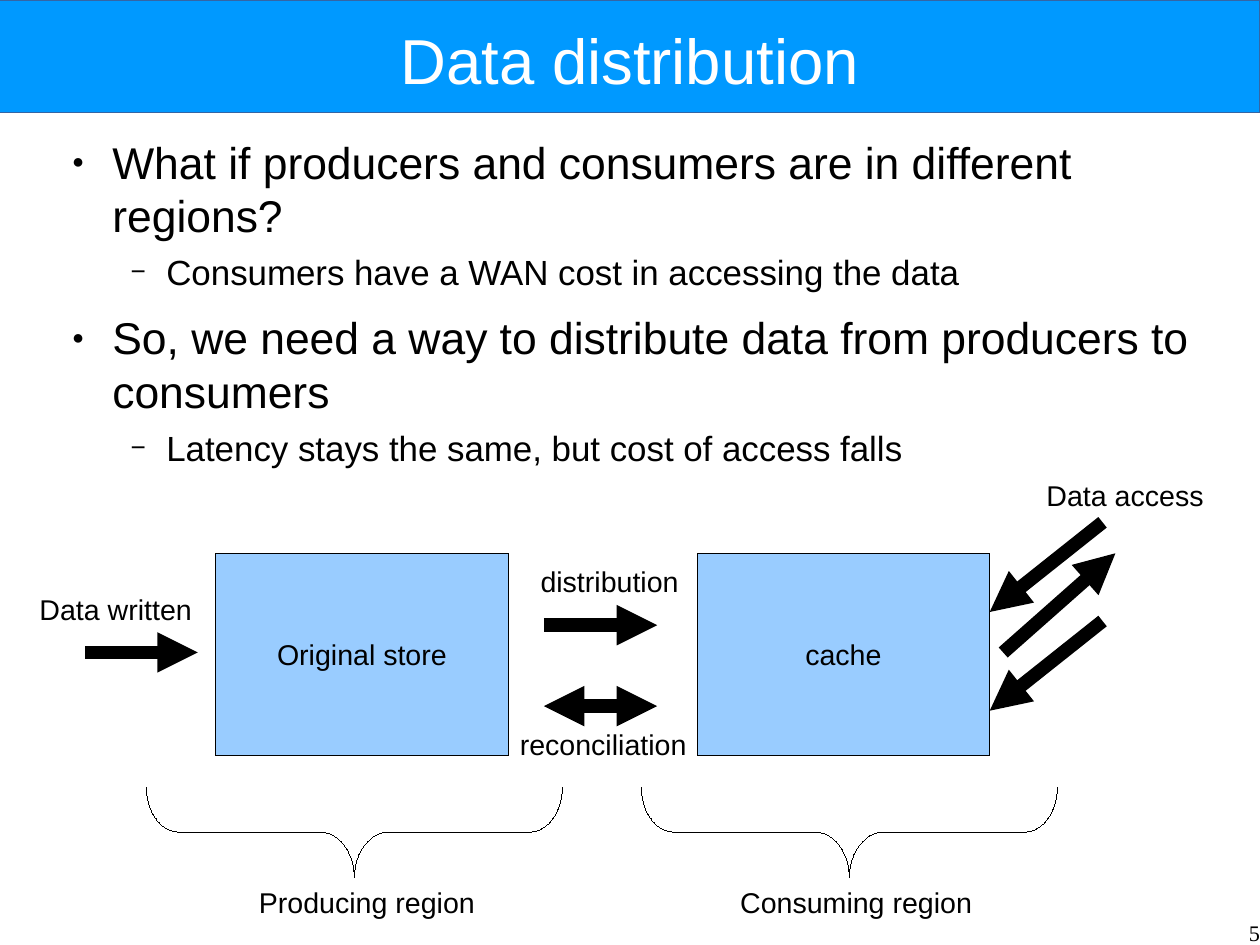
import lxml.etree
import pptx
import pptx.dml.color
import pptx.enum.shapes
import pptx.enum.text
import pptx.oxml.ns
import pptx.util

Pt = pptx.util.Pt
Shape = pptx.enum.shapes.MSO_SHAPE
Line = pptx.enum.shapes.MSO_CONNECTOR
Align = pptx.enum.text.PP_ALIGN
Anchor = pptx.enum.text.MSO_ANCHOR
Fit = pptx.enum.text.MSO_AUTO_SIZE
WIDE, HIGH = 793.75, 595.25


def tint(code):
    return pptx.dml.color.RGBColor.from_string(code)


def node(root, tag, **attrs):
    item = lxml.etree.SubElement(root, pptx.oxml.ns.qn("a:" + tag))
    for key, value in attrs.items():
        item.set(key, value)
    return item


def write(par, text, size=18, color="000000", font="Arial", align=Align.LEFT, after=0):
    par.text = text
    par.alignment = align
    par.space_before = Pt(0)
    par.space_after = Pt(after)
    for run in par.runs:
        run.font.size = Pt(size)
        run.font.name = font
        run.font.color.rgb = tint(color)


class Board:
    ink = "000000"
    thick = 8.5
    levels = [
        dict(left=34, hang=25.4, mark="●", scale="45000", size=28, after=5.65),
        dict(left=68, hang=22.5, mark="−", scale="75000", size=22, after=11.3),
    ]

    def __init__(self, deck):
        self.slide = deck.slides.add_slide(deck.slide_layouts[1])
        self.shapes = self.slide.shapes

    def place(self, holder, box, anchor):
        holder.left, holder.top, holder.width, holder.height = map(Pt, box)
        frame = holder.text_frame
        frame.margin_left = frame.margin_right = Pt(0)
        frame.margin_top = frame.margin_bottom = Pt(0)
        frame.word_wrap = True
        frame.auto_size = Fit.NONE
        frame.vertical_anchor = anchor
        return frame

    def title(self, text, box):
        frame = self.place(self.shapes.title, box, Anchor.MIDDLE)
        write(frame.paragraphs[0], text, size=40, color="FFFFFF", align=Align.CENTER)

    def list(self, items, box):
        frame = self.place(self.slide.placeholders[1], box, Anchor.TOP)
        for i, (depth, text) in enumerate(items):
            par = frame.add_paragraph() if i else frame.paragraphs[0]
            look = self.levels[depth]
            par.level = depth
            props = par._p.get_or_add_pPr()
            props.set("marL", str(Pt(look["left"])))
            props.set("indent", str(-Pt(look["hang"])))
            node(node(props, "buClr"), "srgbClr", val=self.ink)
            node(props, "buSzPct", val=look["scale"])
            node(props, "buFont", typeface="Arial")
            node(props, "buChar", char=look["mark"])
            write(par, text, size=look["size"], after=look["after"])

    def shape(self, kind, box, fill=None, line=ink):
        item = self.shapes.add_shape(kind, *map(Pt, box))
        item.shadow.inherit = False
        if fill:
            item.fill.solid()
            item.fill.fore_color.rgb = tint(fill)
        else:
            item.fill.background()
        item.line.color.rgb = tint(line)
        item.line._get_or_add_ln().set("w", "0")
        return item

    def band(self, box):
        item = self.shape(Shape.RECTANGLE, box, "0099FF", "3465A4")
        self.shapes.title.element.addprevious(item.element)

    def store(self, text, box):
        frame = self.shape(Shape.RECTANGLE, box, "99CCFF").text_frame
        frame.vertical_anchor = Anchor.MIDDLE
        write(frame.paragraphs[0], text, align=Align.CENTER)

    def brace(self, mid):
        wide, tall = 56.9, 262.1
        box = (mid - wide / 2, 524.2 - tall / 2, wide, tall)
        item = self.shape(Shape.LEFT_BRACE, box)
        item.adjustments[0] = 0.37
        item.rotation = 270

    def label(self, text, left, top, width):
        frame = self.shapes.add_textbox(*map(Pt, (left, top, width, 27.4))).text_frame
        frame.word_wrap = False
        frame.auto_size = Fit.SHAPE_TO_FIT_TEXT
        write(frame.paragraphs[0], text)

    def number(self, text, box):
        frame = self.place(self.shapes.add_textbox(0, 0, 0, 0), box, Anchor.TOP)
        write(frame.paragraphs[0], text, size=14, font="Times New Roman", align=Align.RIGHT)

    def arrow(self, x1, y1, x2, y2, both=False):
        item = self.shapes.add_connector(Line.STRAIGHT, *map(Pt, (x1, y1, x2, y2)))
        item.line.color.rgb = tint(self.ink)
        item.line.width = Pt(self.thick)
        stroke = item.line._get_or_add_ln()
        if both:
            node(stroke, "headEnd", type="triangle")
        node(stroke, "tailEnd", type="triangle")
        node(item.element.spPr, "effectLst")


def main():
    deck = pptx.Presentation()
    deck.slide_width, deck.slide_height = Pt(WIDE), Pt(HIGH)
    board = Board(deck)

    board.band((0, 0, WIDE, 70.6))
    board.title("Data distribution", (39.6, 10, 714.2, 54))
    board.list([
        (0, "What if producers and consumers are in different regions?"),
        (1, "Consumers have a WAN cost in accessing the data"),
        (0, "So, we need a way to distribute data from producers to consumers"),
        (1, "Latency stays the same, but cost of access falls"),
    ], (36.8, 85, 714.2, 496))

    for text, left in (("Original store", 135.9), ("cache", 439.2)):
        board.store(text, (left, 348.5, 184.3, 127.4))
    for mid in (223.3, 535.1):
        board.brace(mid)

    board.arrow(53.8, 411, 124.6, 411)
    board.arrow(342.7, 393.8, 414, 393.8)
    board.arrow(342.7, 444.8, 414, 444.8, both=True)
    for top in (329, 391.2):
        board.arrow(694.6, top, 623.5, top + 56.5)
    board.arrow(632, 411, 702.7, 348.5)

    for text, left, top, width in (
        ("Data written", 17.8, 369.2, 110.2),
        ("distribution", 333.4, 351.4, 101.5),
        ("reconciliation", 320.4, 454.3, 119.5),
        ("Data access", 652.2, 297.4, 113.5),
        ("Producing region", 156, 553.7, 150.5),
        ("Consuming region", 459.2, 553.7, 160.6),
    ):
        board.label(text, left, top, width)
    board.number("5", (WIDE - 185, 578.9, 185, 16.35))

    deck.save("out.pptx")


if __name__ == "__main__":
    main()
